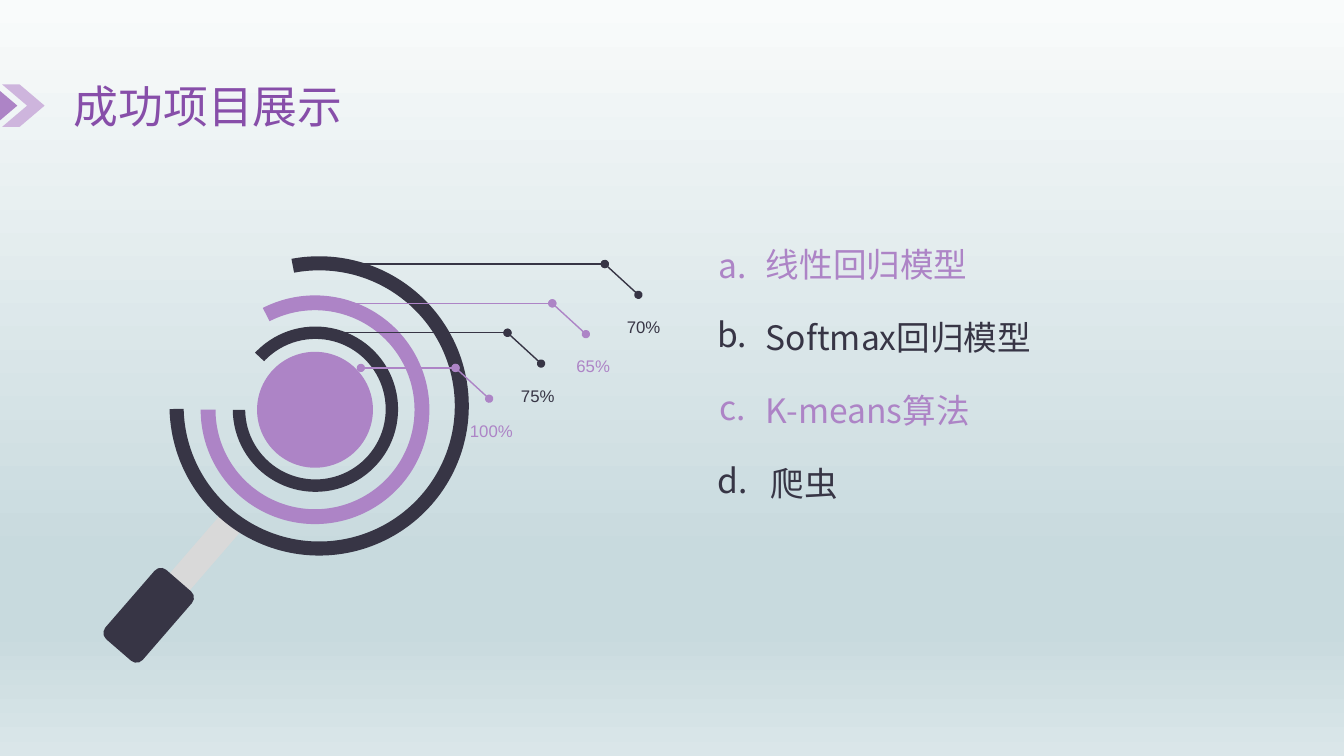
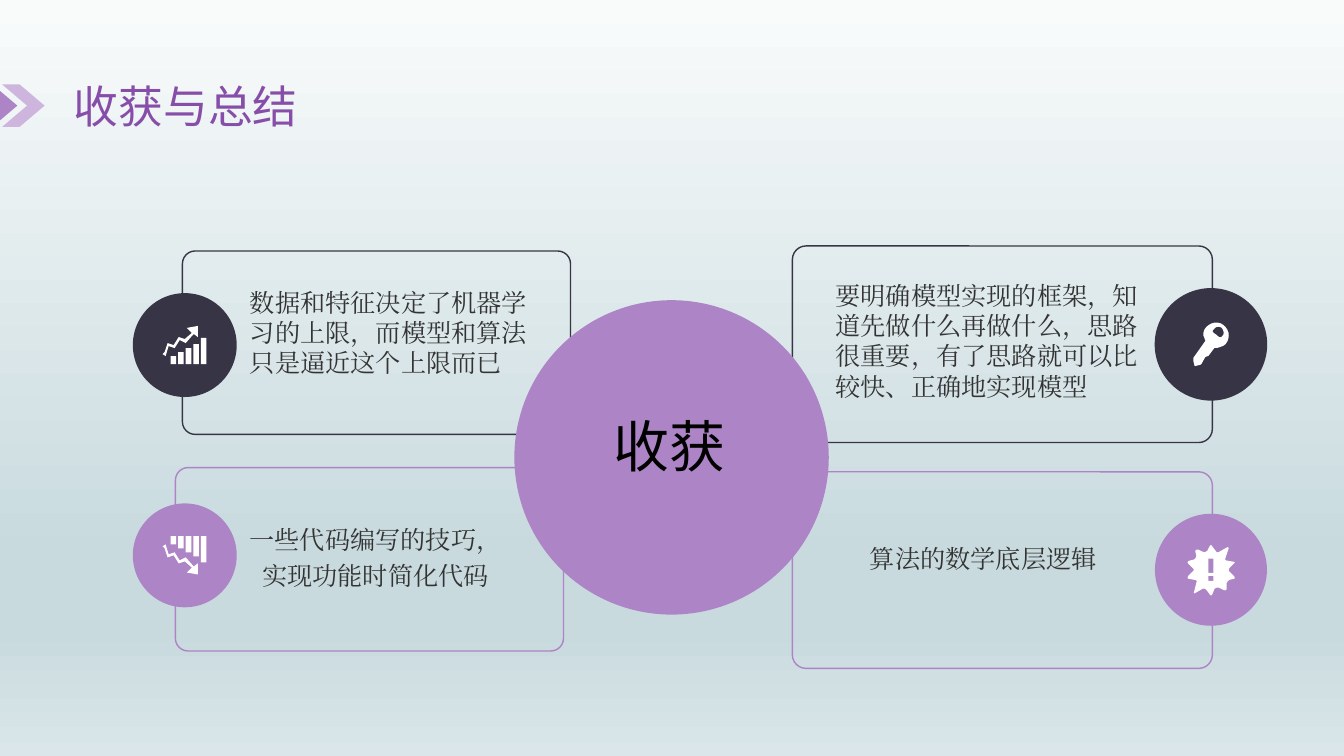
from lxml.etree import SubElement
from pptx import Presentation
from pptx.dml.color import RGBColor
from pptx.enum.shapes import MSO_CONNECTOR, MSO_SHAPE as Preset
from pptx.enum.text import MSO_ANCHOR as Anchor, PP_ALIGN as Align
from pptx.oxml.ns import qn
from pptx.util import Pt

# Shared colours and fonts
PURPLE = RGBColor(0xAD, 0x84, 0xC6)
LILAC = RGBColor(0xCE, 0xB5, 0xDD)
VIOLET = RGBColor(0x87, 0x4E, 0xA9)
DARK = RGBColor(0x37, 0x35, 0x45)
GREY = RGBColor(0xD9, 0xD9, 0xD9)
BODY = RGBColor(0x33, 0x33, 0x33)
BLACK = RGBColor(0, 0, 0)
WHITE = RGBColor(0xFF, 0xFF, 0xFF)
BACKGROUND_STOPS = [(0, "F9FBFB"), (74, "C8DADE"), (83, "C8DADE"), (100, "DAE6E9")]
SANS, SERIF, CJK = "Arial", "Times New Roman", "Noto Sans CJK SC"

# Icon outlines in hundredths of an inch: pairs are corners, sixes are curves
CHART_ARROW = [(17, 14), (23, 17), (30, 9), (31, 8), (35, 11), (35, 0), (24, 2),
               (29, 7), (22, 13), (16, 11), (11, 19), (5, 17), (2, 26), (0, 28),
               (3, 30), (6, 20), (12, 22)]
CHART_BAR_TOPS = [30, 26, 22, 18, 12]
KEY_HOLE = [(29, 13), (27, 16, 25, 14, 23, 12), (20, 10, 18, 9, 20, 7),
            (22, 4, 25, 3, 28, 5), (30, 7, 31, 11, 29, 13)]
KEY_BODY = [(35, 10), (33, 3, 27, -1, 21, 0), (15, 1, 9, 6, 10, 13),
            (11, 14, 11, 16, 12, 18), (0, 35), (0, 36, 0, 37, 0, 38), (1, 42),
            (1, 43, 2, 43, 2, 43), (6, 42), (6, 42, 7, 42, 8, 41), (12, 34),
            (15, 33), (21, 25), (23, 25, 25, 25, 27, 24), (33, 23, 36, 16, 35, 10)]
GEAR_EDGE = [(46, 31), (42, 27), (41, 26, 41, 24, 42, 23), (46, 19),
             (48, 18, 47, 17, 46, 17), (40, 16), (38, 16, 37, 15, 38, 13), (41, 4),
             (41, 3, 41, 2, 39, 3), (32, 7), (31, 8, 29, 8, 28, 6), (25, 2),
             (24, 0, 23, 0, 22, 2), (20, 6), (19, 7, 17, 8, 15, 7), (11, 5),
             (9, 5, 8, 5, 8, 7), (9, 11), (9, 13, 7, 15, 6, 15), (2, 16),
             (0, 17, 0, 18, 1, 19), (5, 23), (7, 24, 7, 26, 5, 27), (1, 31),
             (0, 33, 0, 34, 2, 34), (7, 35), (9, 35, 10, 36, 9, 38), (7, 46),
             (6, 48, 7, 49, 8, 48), (15, 44), (16, 43, 18, 44, 19, 45), (22, 49),
             (23, 51, 24, 51, 25, 49), (27, 44), (28, 43, 30, 42, 32, 43), (36, 45),
             (38, 46, 39, 45, 39, 44), (39, 39), (39, 38, 40, 36, 42, 35), (46, 34),
             (47, 34, 48, 33, 46, 31)]


def bar(left, top, right, bottom):
    return [(left, top), (right, top), (right, bottom), (left, bottom)]


CHART_UP = [CHART_ARROW] + [bar(8 + 7.5 * i, top, 13.5 + 7.5 * i, 38)
                            for i, top in enumerate(CHART_BAR_TOPS)]
CHART_DOWN = [[(x, 38 - y) for x, y in outline] for outline in CHART_UP]
ICONS = {
    "chart up": (44, 38, CHART_UP),
    "chart down": (44, 38, CHART_DOWN),
    "key": (35, 43, [KEY_HOLE, KEY_BODY]),
    "gear": (47, 50, [bar(21, 14, 26, 28), bar(21, 31, 26, 36), GEAR_EDGE]),
}


# Basic parts
def paint(shape, fill=None, line=None):
    shape.shadow.inherit = False
    if fill is None:
        shape.fill.background()
    else:
        shape.fill.solid()
        shape.fill.fore_color.rgb = fill
    if line is None:
        shape.line.fill.background()
    else:
        shape.line.color.rgb = line
        shape.line.width = Pt(1)


def add_preset(slide, preset, box, fill=None, line=None, rotation=0, adjustments=()):
    shape = slide.shapes.add_shape(preset, *map(Pt, box))
    paint(shape, fill, line)
    shape.rotation = rotation
    for index, value in enumerate(adjustments):
        shape.adjustments[index] = value
    return shape


def centred(x, y, width, height=None):
    height = width if height is None else height
    return x - width / 2, y - height / 2, width, height


def add_text(slide, box, text, size, font_name, colour, frame_format=None, **paragraph_format):
    frame = slide.shapes.add_textbox(*map(Pt, box)).text_frame
    for name, value in {"word_wrap": True, **(frame_format or {})}.items():
        setattr(frame, name, value)
    paragraph = frame.paragraphs[0]
    for name, value in paragraph_format.items():
        setattr(paragraph, name, value)
    run = paragraph.add_run()
    run.text = text
    for name, value in {"size": Pt(size), "name": font_name}.items():
        setattr(run.font, name, value)
    run.font.color.rgb = colour
    SubElement(run.font._element, qn("a:ea"), typeface=font_name)


def add_dotted_line(slide, start, end, colour):
    line = slide.shapes.add_connector(MSO_CONNECTOR.STRAIGHT, *map(Pt, start + end))
    line.line.color.rgb = colour
    line.line.width = Pt(1)
    properties = line._element.spPr
    outline = properties.find(qn("a:ln"))
    for tag in ("a:headEnd", "a:tailEnd"):
        SubElement(outline, qn(tag), type="oval")
    SubElement(properties, qn("a:effectLst"))


def flatten(outline, steps=6):
    """Turn corners and curves into points, in thousandths of an inch."""
    points = []
    for part in outline:
        if len(part) == 2:
            points.append(part)
            continue
        x0, y0 = points[-1]
        x1, y1, x2, y2, x3, y3 = part
        for step in range(1, steps + 1):
            t = step / steps
            a, b, c, d = (1 - t) ** 3, 3 * t * (1 - t) ** 2, 3 * t * t * (1 - t), t ** 3
            points.append((a * x0 + b * x1 + c * x2 + d * x3,
                           a * y0 + b * y1 + c * y2 + d * y3))
    return [(x * 10, y * 10) for x, y in points]


def add_icon(slide, name, x, y):
    width, height, outlines = ICONS[name]
    contours = [flatten(outline) for outline in outlines]
    builder = slide.shapes.build_freeform(*contours[0][0], scale=Pt(0.072))
    for index, points in enumerate(contours):
        if index:
            builder.move_to(*points[0])
        builder.add_line_segments(points[1:], close=True)
    left, top = centred(x, y, width * 0.72, height * 0.72)[:2]
    paint(builder.convert_to_shape(Pt(left), Pt(top)), WHITE)


# Shared look
def set_background(master):
    fill = master.background.fill
    fill.gradient()
    fill.gradient_angle = 270
    stops = master.element.find(".//" + qn("a:gsLst"))
    for stop in list(stops):
        stops.remove(stop)
    for position, colour in BACKGROUND_STOPS:
        stop = SubElement(stops, qn("a:gs"), pos=str(position * 1000))
        SubElement(stop, qn("a:srgbClr"), val=colour)


def add_titled_slide(presentation, title):
    slide = presentation.slides.add_slide(presentation.slide_layouts[6])
    add_text(slide, (45.5, 49.5, 400, 52), title, 32, SANS, VIOLET,
             {"vertical_anchor": Anchor.MIDDLE})
    for left, colour in ((1.5, LILAC), (-18, PURPLE)):
        add_preset(slide, Preset.CHEVRON, (left, 60.3, 30.4, 30.4), colour,
                   adjustments=[0.589])
    return slide


# Slide 1 regions
def add_magnifier(slide, left, top):
    def ring(x, y, size, start, end, thickness, colour):
        # Angles are degrees; the adjustment unit is 1/0.6 of a degree
        add_preset(slide, Preset.BLOCK_ARC, centred(left + x, top + y, size), colour,
                   rotation=45, adjustments=[start * 0.6, end * 0.6, thickness])

    ring(153, 112.7, 163.4, 197.83, 135.07, 0.065, PURPLE)
    add_preset(slide, Preset.RECTANGLE, centred(left + 70, top + 220, 18.7, 82.8),
               GREY, rotation=40.9)
    add_preset(slide, Preset.ROUNDED_RECTANGLE,
               centred(left + 34.2, top + 259.5, 35.3, 65.5), DARK, rotation=40.9)
    ring(156, 110, 213.8, 214.33, 133.78, 0.047, DARK)
    ring(153.3, 112.3, 118.1, 178.06, 134.45, 0.075, DARK)
    add_preset(slide, Preset.OVAL, centred(left + 153, top + 112.7, 82.8), PURPLE)

    # Leader lines: height, start, bend, label centre
    leaders = [
        (8.6, 157, 360, 387.7, "70%", DARK),
        (36.7, 157, 322.5, 351.7, "65%", PURPLE),
        (57.7, 157, 290.5, 312.1, "75%", DARK),
        (82.8, 185.8, 253.4, 279, "100%", PURPLE),
    ]
    for y, start, bend, label_x, label, colour in leaders:
        corner = (left + bend, top + y)
        add_dotted_line(slide, (corner[0] + 24, corner[1] + 22), corner, colour)
        add_dotted_line(slide, corner, (left + start, top + y), colour)
        add_text(slide, centred(left + label_x, top + y + 43.5, 32, 17.3), label,
                 12, SANS, colour,
                 {"vertical_anchor": Anchor.BOTTOM, "margin_left": 0, "margin_right": 0,
                  "margin_top": 0, "margin_bottom": 0},
                 alignment=Align.CENTER, line_spacing=1.2)


def add_project_list(slide, left, top):
    middle = {"vertical_anchor": Anchor.MIDDLE}
    # Letter, its drop and line spacing, project, its indent
    projects = [
        ("a.", 4.3, 1.5, "线性回归模型", 41),
        ("b.", 8.5, 1.0, "Softmax回归模型", 41),
        ("c.", 8.5, 1.0, "K-means算法", 41),
        ("d.", 8.5, 1.0, "爬虫", 44.6),
    ]
    for index, (letter, drop, spacing, project, indent) in enumerate(projects):
        y = top + 52.3 * index
        colour = (PURPLE, DARK)[index % 2]
        add_text(slide, (left + indent, y, 220, 36.7), project, 24, CJK, colour, middle,
                 line_spacing=1.5)
        add_text(slide, (left, y + drop, 48.2, 30.2), letter, 24, CJK, colour, middle,
                 alignment=Align.CENTER, line_spacing=spacing)


# Slide 2 regions
def add_card(slide, box, colour, badge, icon):
    add_preset(slide, Preset.ROUNDED_RECTANGLE, box, line=colour, adjustments=[0.069])
    x, y, size = badge
    add_preset(slide, Preset.OVAL, centred(x, y, size), colour)
    add_icon(slide, icon, x, y)


def add_hub(slide, x, y):
    add_preset(slide, Preset.OVAL, centred(x, y, 224.6), PURPLE)
    add_text(slide, (x - 48.3, y - 36, 108.7, 55.4), "收获", 40, CJK, BLACK)


def build_projects(presentation):
    slide = add_titled_slide(presentation, "成功项目展示")
    add_magnifier(slide, 72, 180)
    add_project_list(slide, 499, 162.7)


def build_summary(presentation):
    slide = add_titled_slide(presentation, "收获与总结")
    cards = [
        ((125.3, 334, 277.2, 131), PURPLE, (132, 396.7, 74.2), "chart down"),
        ((130.3, 179.3, 277.2, 131), DARK, (132, 246.5, 74.2), "chart up"),
        ((566, 175.7, 300, 140.4), DARK, (865, 246, 80.4), "key"),
        ((566, 337, 300, 140.4), PURPLE, (865, 407, 80), "gear"),
    ]
    for card in cards:
        add_card(slide, *card)
    add_hub(slide, 479.7, 326.7)

    lessons = [
        ((168.5, 366.5, 199.4, 57.6), "一些代码编写的技巧，实现功能时简化代码",
         {"alignment": Align.CENTER, "line_spacing": 1.2}),
        ((171.4, 201.6, 218.9, 74.2),
         "数据和特征决定了机器学习的上限，而模型和算法只是逼近这个上限而已", {}),
        ((577.4, 373.7, 213.1, 36), "算法的数学底层逻辑",
         {"alignment": Align.RIGHT, "line_spacing": 1.5}),
        ((589.7, 196.6, 236.9, 94.3),
         "要明确模型实现的框架，知道先做什么再做什么，思路很重要，"
         "有了思路就可以比较快、正确地实现模型", {}),
    ]
    for box, text, paragraph_format in lessons:
        add_text(slide, box, text, 18, SERIF, BODY, **paragraph_format)


def main():
    presentation = Presentation()
    presentation.slide_width, presentation.slide_height = Pt(960), Pt(540)
    set_background(presentation.slide_master)
    build_projects(presentation)
    build_summary(presentation)
    presentation.save("out.pptx")


if __name__ == "__main__":
    main()
